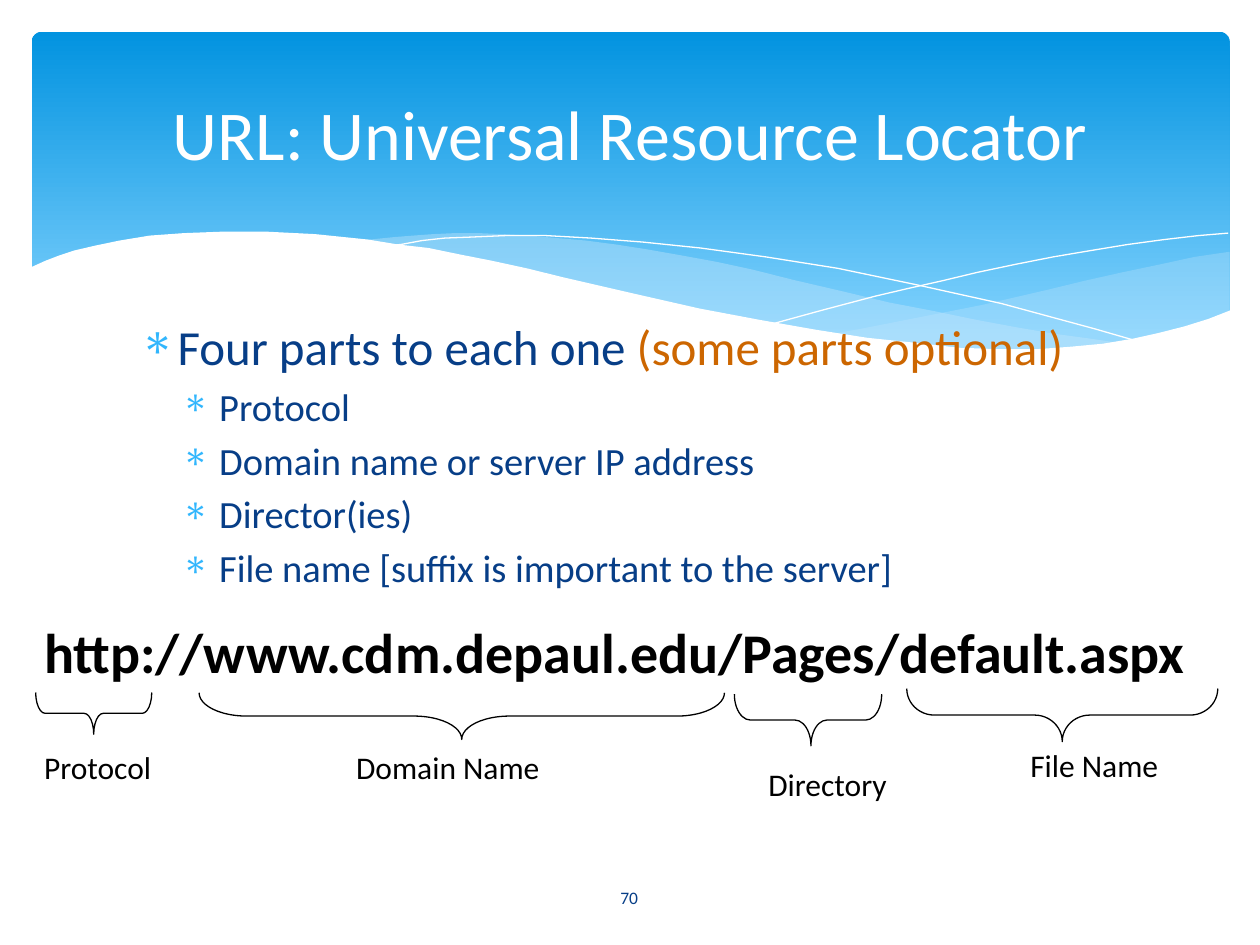
from lxml import etree
from pptx import Presentation
from pptx.dml.color import RGBColor
from pptx.enum.shapes import MSO_SHAPE
from pptx.enum.text import MSO_ANCHOR, PP_ALIGN
from pptx.oxml.ns import qn
from pptx.util import Cm, Pt

BANNER, BRACE = MSO_SHAPE.ROUNDED_RECTANGLE, MSO_SHAPE.LEFT_BRACE
LEFT, CENTER = PP_ALIGN.LEFT, PP_ALIGN.CENTER
TOP, MIDDLE = MSO_ANCHOR.TOP, MSO_ANCHOR.MIDDLE
NAVY, SKY, WHITE, BLACK = "073E87", "31B6FD", "FFFFFF", "000000"
color = RGBColor.from_string

deck = Presentation()
deck.slide_width, deck.slide_height = Cm(25.4), Cm(19.05)
slide = deck.slides.add_slide(deck.slide_layouts[6])
shapes = slide.shapes


def add_text(box, text, size, ink, align=LEFT, anchor=TOP, wrap=True):
    """Add a one-paragraph text box; box is left, top, width, height in cm."""
    frame = shapes.add_textbox(*map(Cm, box)).text_frame
    frame.word_wrap = wrap
    frame.vertical_anchor = anchor
    para = frame.paragraphs[0]
    para.text = text
    para.alignment = align
    para.font.name = "Calibri"
    para.font.size = Pt(size)
    para.font.color.rgb = color(ink)
    return frame


def add_wave(points, closed):
    """Draw a line through points given in hundredths of a cm."""
    pen = shapes.build_freeform(*points[0], scale=Cm(0.01))
    pen.add_line_segments(points[1:], close=closed)
    wave = pen.convert_to_shape()
    wave.shadow.inherit = False
    return wave


# Banner
banner = shapes.add_shape(BANNER, Cm(0.64), Cm(0.64), Cm(24.15), Cm(6.86))
banner.shadow.inherit = False
banner.adjustments[0] = 0.03
banner.line.fill.background()
banner.fill.gradient()
banner.fill.gradient_angle = 270
for stop, spot, shade in zip(banner.fill.gradient_stops, (0, 0.9), ("0293E0", "83D3FE")):
    stop.position = spot
    stop.color.rgb = color(shade)

# Waves across the banner
right = [
    (2476, 508), (2408, 518), (2339, 533), (2263, 549), (2187, 566), (2113, 584),
    (1979, 615), (1852, 640), (1735, 663), (1679, 673), (1755, 683), (1826, 691),
    (1892, 696), (1953, 701), (2012, 704), (2068, 706), (2121, 704), (2169, 701),
    (2215, 696), (2258, 691), (2299, 683), (2339, 673), (2375, 665), (2410, 653),
    (2446, 640), (2479, 627), (2479, 508)]
middle = [
    (2268, 693), (2200, 683), (2126, 673), (2050, 660), (1969, 645), (1882, 627),
    (1793, 610), (1697, 587), (1598, 564), (1519, 544), (1445, 528), (1374, 515),
    (1306, 503), (1242, 493), (1181, 485), (1123, 480), (1067, 475), (1013, 472),
    (965, 470), (917, 470), (874, 472), (833, 475), (795, 478), (726, 485),
    (820, 498), (919, 516), (1026, 536), (1140, 564), (1247, 589), (1346, 610),
    (1438, 630), (1527, 648), (1610, 663), (1689, 676), (1765, 686), (1834, 696),
    (1900, 701), (1963, 704), (2022, 706), (2078, 706), (2129, 706), (2202, 701)]
falling = [
    (785, 495), (808, 493), (851, 485), (897, 480), (950, 478), (1019, 475),
    (1100, 475), (1191, 480), (1295, 488), (1412, 500), (1544, 518), (1689, 541),
    (1847, 574), (2019, 612), (2207, 663), (2304, 691)]
rising = [
    (1557, 653), (1659, 625), (1765, 597), (1829, 582), (1900, 566), (1971, 549),
    (2047, 533), (2123, 518), (2200, 505), (2273, 493), (2347, 483), (2416, 475),
    (2476, 470)]
front = [
    (2482, 625), (2436, 643), (2388, 658), (2337, 671), (2283, 683), (2223, 693),
    (2159, 699), (2090, 704), (2014, 704), (1933, 701), (1844, 691), (1748, 681),
    (1646, 665), (1532, 645), (1410, 622), (1278, 592), (1135, 559), (1062, 541),
    (993, 526), (927, 513), (864, 500), (803, 493), (742, 483), (635, 472),
    (536, 467), (450, 467), (371, 470), (302, 475), (241, 485), (193, 495),
    (150, 505), (117, 516), (91, 526), (58, 541), (58, 836), (2482, 836)]

for points, alpha in ((right, 29), (middle, 40)):
    wave = add_wave(points, True)
    wave.line.fill.background()
    wave.fill.solid()
    wave.fill.fore_color.rgb = color("C6E7FC")
    tint = wave.fill._xPr.find(qn("a:solidFill"))[0]
    etree.SubElement(tint, qn("a:alpha"), val=str(alpha * 1000))

for points in (falling, rising):
    curve = add_wave(points, False)
    curve.fill.background()
    curve.line.color.rgb = color(WHITE)
    curve.line.width = Pt(0)

cover = add_wave(front, True)
cover.line.fill.background()
cover.fill.solid()
cover.fill.fore_color.rgb = color(WHITE)

# Slide number and title
add_text((8.66, 17.58, 8.05, 1.02), "70", 10, NAVY, CENTER, MIDDLE)
add_text((1.27, 0.94, 22.86, 3.48), "URL: Universal Resource Locator", 40, WHITE, CENTER, MIDDLE)

# Bulleted list
body = add_text((2.57, 6.25, 20.57, 9.58), "Four parts to each one ", 28, NAVY)
note = body.paragraphs[0].add_run()
note.text = "(some parts optional)"
note.font.color.rgb = color("CC6600")
for item in ("Protocol", "Domain name or server IP address", "Director(ies)",
             "File name [suffix is important to the server]"):
    para = body.add_paragraph()
    para.text = item
    para.level = 1
    para.space_before = Pt(4.4)
for para in body.paragraphs:
    props = para._p.get_or_add_pPr()
    props.set("marL", str(Cm(1.6 if para.level else 0.76)))
    props.set("indent", str(Cm(-0.76)))
    for old in props.findall(qn("a:defRPr")):
        props.remove(old)
    tint = etree.SubElement(props, qn("a:buClr"))
    etree.SubElement(tint, qn("a:srgbClr"), val=SKY)
    etree.SubElement(props, qn("a:buChar"), char="∗")
    para.font.name = "Calibri"
    para.font.size = Pt(22 if para.level else 28)
    para.font.color.rgb = color(NAVY)

# Address with a brace and a label under each part
link = add_text((0.64, 12.32, 23.77, 1.63), "http://www.cdm.depaul.edu/Pages/default.aspx",
                32, BLACK, wrap=False)
link.paragraphs[0].font.bold = True

parts = [
    ("Protocol", (0.64, 14.96, 2.84), (1.47, 13.21, 0.84, 2.34), 0.23, 0.5),
    ("Domain Name", (6.93, 14.96, 4.57), (8.84, 9.14, 0.94, 10.59), 1.02, 0.5),
    ("Directory", (15.24, 15.29, 3.05), (15.77, 13.03, 1.04, 2.97), 0.31, 0.52),
    ("File Name", (20.52, 14.91, 3.89), (20.88, 11.28, 1.07, 6.27), 0.52, 0.5),
]
for name, spot, box, bend, tip in parts:
    brace = shapes.add_shape(BRACE, *map(Cm, box))
    brace.shadow.inherit = False
    brace.rotation = 270
    brace.adjustments[0], brace.adjustments[1] = bend, tip
    brace.fill.background()
    brace.line.color.rgb = color(BLACK)
    brace.line.width = Pt(0.75)
    add_text((*spot, 1.02), name, 18, BLACK, wrap=False)

deck.save("out.pptx")
